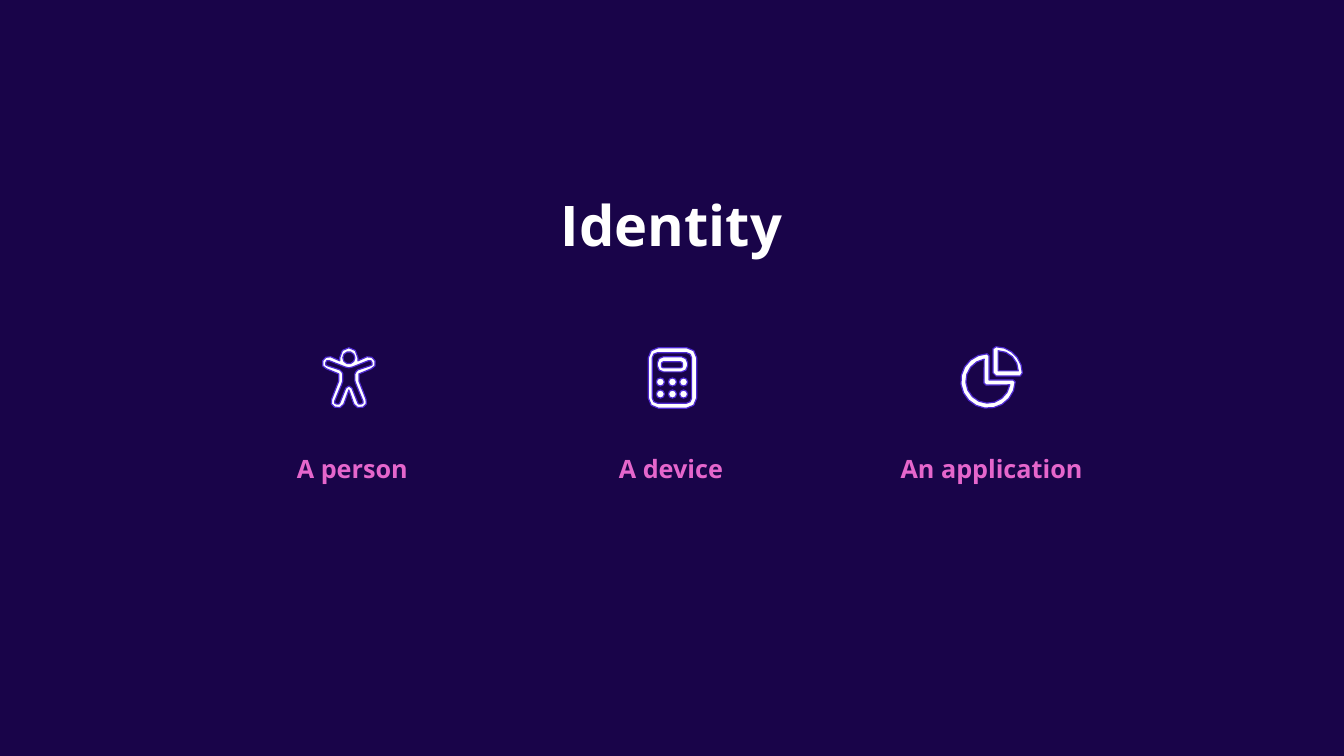
from dataclasses import dataclass
from math import cos, radians, sin

from pptx import Presentation
from pptx.dml.color import RGBColor
from pptx.enum.text import MSO_ANCHOR, MSO_AUTO_SIZE, PP_ALIGN
from pptx.util import Inches, Pt

CENTER = PP_ALIGN.CENTER
MIDDLE = MSO_ANCHOR.MIDDLE
NO_AUTOFIT = MSO_AUTO_SIZE.NONE

# Content: label and its left edge
TITLE = "Identity"
LABELS = [("A person", 2.23), ("A device", 5.39), ("An application", 8.57)]


@dataclass(frozen=True)
class Theme:
    font: str = "Open Sans"
    background: str = "190449"
    light: str = "FFFFFF"
    accent: str = "E566CC"
    outline: str = "4F2BD3"
    title_size: float = 40
    label_size: float = 18
    outline_width: float = 0.85


THEME = Theme()

# Layout
TITLE_BOX = (0.62, 1.89, 12.08, 0.67)
LABEL_TOP, LABEL_WIDTH, LABEL_HEIGHT = 4.5, 2.53, 0.3

# Right half of the person, x measured from the axis: pairs are corners,
# sixes are curves (two controls and an end)
PERSON_AXIS = 3.46
BODY_OUTSIDE = [
    (0, 3.45), (0.05, 3.45, 0.09, 3.49, 0.09, 3.55), (0.09, 3.58), (0.18, 3.54),
    (0.21, 3.53, 0.25, 3.55, 0.26, 3.58), (0.27, 3.62, 0.26, 3.65, 0.22, 3.66),
    (0.1, 3.71), (0.1, 3.78), (0.17, 3.96),
    (0.19, 3.99, 0.17, 4.03, 0.14, 4.04), (0.1, 4.06, 0.07, 4.04, 0.05, 4.01),
    (0, 3.87),
]
BODY_INSIDE = [
    (0, 3.65), (0.04, 3.64), (0.19, 3.58), (0.22, 3.58), (0.23, 3.6),
    (0.23, 3.62), (0.21, 3.63), (0.09, 3.67), (0.07, 3.69), (0.06, 3.71),
    (0.06, 3.78), (0.07, 3.81), (0.14, 3.98), (0.14, 4), (0.12, 4.01),
    (0.1, 4.01), (0.09, 4), (0.03, 3.85), (0, 3.83),
]


def color(value):
    return RGBColor.from_string(value)


def write_text(shape, text, *, size, fill, bold=True):
    frame = shape.text_frame
    frame.margin_left = frame.margin_top = frame.margin_right = frame.margin_bottom = 0
    frame.word_wrap = True
    frame.auto_size = NO_AUTOFIT
    frame.vertical_anchor = MIDDLE
    paragraph = frame.paragraphs[0]
    paragraph.alignment = CENTER
    run = paragraph.add_run()
    run.text = text
    run.font.name = THEME.font
    run.font.size = Pt(size)
    run.font.bold = bold
    run.font.color.rgb = color(fill)


# Outline geometry, in inches
def arc(x, y, radius, start, end, steps):
    angles = [radians(start + (end - start) * i / steps) for i in range(steps + 1)]
    return [(x + radius * cos(a), y + radius * sin(a)) for a in angles]


def circle(x, y, radius, sides=8):
    return arc(x, y, radius, 0, 360, sides)[:-1]


def rounded_rectangle(left, top, right, bottom, radius):
    corners = [(right - radius, bottom - radius), (left + radius, bottom - radius),
               (left + radius, top + radius), (right - radius, top + radius)]
    return [point for i, (x, y) in enumerate(corners)
            for point in arc(x, y, radius, 90 * i, 90 * i + 90, 2)]


def flatten(segments):
    """Turn each curve into its midpoint and its end."""
    points = []
    for segment in segments:
        if len(segment) == 6:
            x0, y0 = points[-1]
            x1, y1, x2, y2, x3, y3 = segment
            points.append(((x0 + 3 * x1 + 3 * x2 + x3) / 8,
                           (y0 + 3 * y1 + 3 * y2 + y3) / 8))
        points.append(segment[-2:])
    return points


def mirrored(segments):
    half = flatten(segments)
    return ([(PERSON_AXIS + x, y) for x, y in half]
            + [(PERSON_AXIS - x, y) for x, y in half[-2:0:-1]])


def add_icon(slide, outlines):
    contours = [[(Inches(x), Inches(y)) for x, y in outline] for outline in outlines]
    builder = slide.shapes.build_freeform(*contours[0][0])
    for i, contour in enumerate(contours):
        if i:
            builder.move_to(*contour[0])
        builder.add_line_segments(contour[1:], close=True)
    shape = builder.convert_to_shape()
    shape.shadow.inherit = False
    shape.fill.solid()
    shape.fill.fore_color.rgb = color(THEME.light)
    shape.line.color.rgb = color(THEME.outline)
    shape.line.width = Pt(THEME.outline_width)


def main():
    presentation = Presentation()
    presentation.slide_width, presentation.slide_height = Inches(13.33), Inches(7.5)
    slide = presentation.slides.add_slide(presentation.slide_layouts[5])
    slide.background.fill.solid()
    slide.background.fill.fore_color.rgb = color(THEME.background)

    # Title
    title = slide.shapes.title
    title.left, title.top, title.width, title.height = map(Inches, TITLE_BOX)
    write_text(title, TITLE, size=THEME.title_size, fill=THEME.light)

    # Labels
    for text, left in LABELS:
        label = slide.shapes.add_textbox(Inches(left), Inches(LABEL_TOP),
                                         Inches(LABEL_WIDTH), Inches(LABEL_HEIGHT))
        write_text(label, text, size=THEME.label_size, fill=THEME.accent)

    # Person
    head = circle(PERSON_AXIS, 3.55, 0.06, sides=10)
    add_icon(slide, [mirrored(BODY_OUTSIDE), mirrored(BODY_INSIDE), head])

    # Device: case, screen and keys
    keys = [circle(x, y, 0.04) for y in (3.79, 3.91) for x in (6.55, 6.67, 6.78)]
    add_icon(slide, [
        rounded_rectangle(6.43, 3.45, 6.91, 4.05, 0.1),
        rounded_rectangle(6.47, 3.5, 6.86, 4, 0.05),
        rounded_rectangle(6.52, 3.54, 6.82, 3.69, 0.06),
        rounded_rectangle(6.56, 3.59, 6.77, 3.65, 0.02),
    ] + keys)

    # Application: pie chart with a detached quarter
    add_icon(slide, [
        arc(9.8, 3.78, 0.27, 2, 268, 14) + [(9.81, 3.53), (9.81, 3.77), (10.05, 3.77)],
        arc(9.8, 3.78, 0.22, 10, 260, 12) + [(9.76, 3.8), (9.78, 3.82)],
        arc(9.88, 3.7, 0.26, -90, 0, 5) + [(10.12, 3.73), (9.88, 3.73),
                                           (9.85, 3.7), (9.85, 3.46)],
        arc(9.9, 3.68, 0.2, -90, 0, 4) + [(9.9, 3.68)],
    ])

    presentation.save("out.pptx")


if __name__ == "__main__":
    main()
